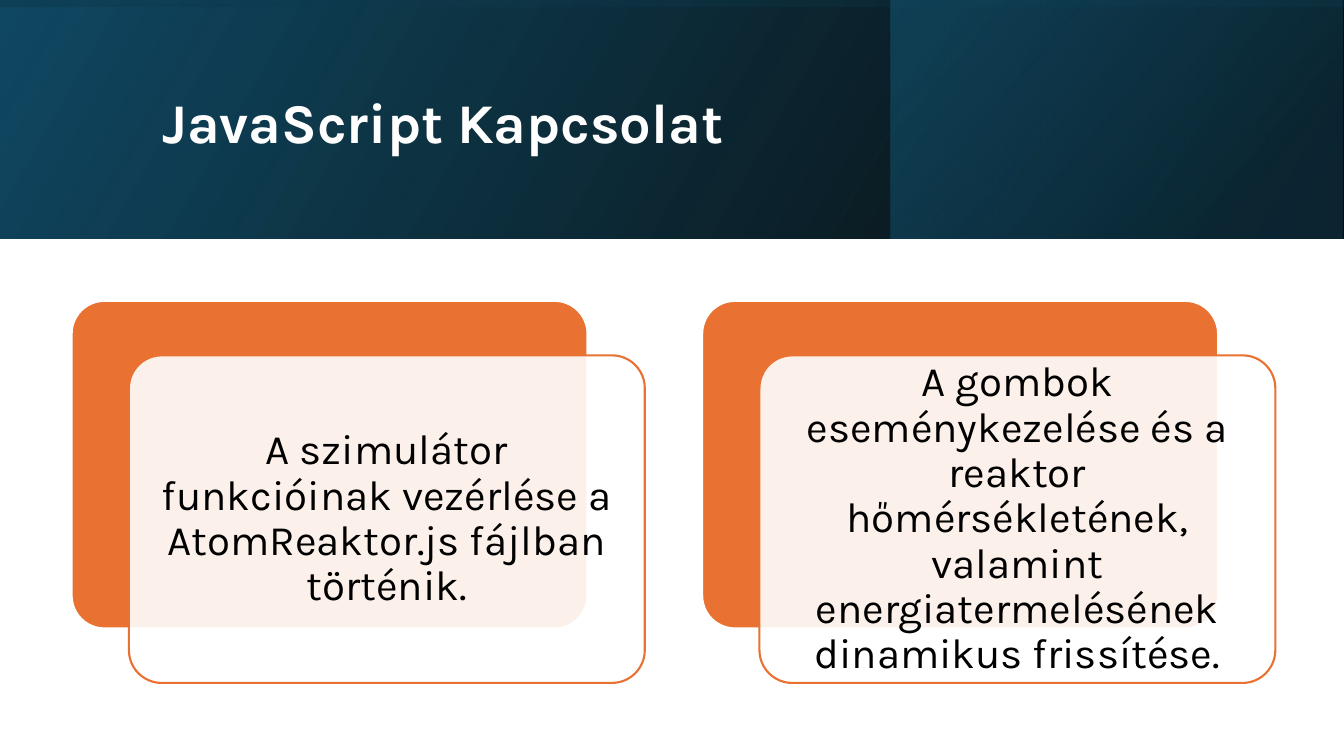
from lxml.etree import SubElement
from pptx import Presentation
from pptx.dml.color import RGBColor
from pptx.enum.shapes import MSO_SHAPE
from pptx.enum.text import MSO_ANCHOR, PP_ALIGN
from pptx.oxml import parse_xml
from pptx.oxml.ns import nsdecls, qn
from pptx.util import Pt

# Content
TITLE = "JavaScript Kapcsolat"
CARDS = [
    "A szimulátor funkcióinak vezérlése a AtomReaktor.js fájlban történik.",
    "A gombok eseménykezelése és a reaktor hőmérsékletének, valamint "
    "energiatermelésének dinamikus frissítése.",
]

# Style
FONT = "Karla"
WHITE = RGBColor(0xFF, 0xFF, 0xFF)
BLACK = RGBColor(0x00, 0x00, 0x00)
ORANGE = RGBColor(0xE9, 0x71, 0x32)
NAVY = RGBColor(0x10, 0x48, 0x62)
DEEP_BLUE = RGBColor(0x0B, 0x30, 0x41)
BLUE = RGBColor(0x15, 0x60, 0x82)

# Layout in points
SLIDE_W, SLIDE_H = 960, 540
BAND_H = 170.64
SIDE_LEFT, SIDE_W = 636.5, 322.5
CARD_W, CARD_H = 368.5, 234
CARD_LEFT, CARD_TOP, CARD_STEP = 51.2, 214.9, 450.4
OFFSET_X, OFFSET_Y = 40.9, 38.9
CARD_INSET = 8.6

# Header layers: left, top, width, height, rotation, angle, (position, colour, opacity)
BAND_LAYERS = [
    (0, 0, SLIDE_W, BAND_H, 0, 330, [(0, BLACK, 96), (100, NAVY, 100)]),
    (SIDE_LEFT, 0, SIDE_W, BAND_H, 0, 320, [(19, DEEP_BLUE, 68), (100, BLUE, 48)]),
    ((SLIDE_W - BAND_H) / 2, (BAND_H - SLIDE_W) / 2, BAND_H, SLIDE_W, 270, 350,
     [(23, NAVY, 16), (99, BLACK, 45)]),
]


def add_block(slide, kind, left, top, width, height):
    block = slide.shapes.add_shape(kind, Pt(left), Pt(top), Pt(width), Pt(height))
    block.shadow.inherit = False
    return block


def set_gradient(block, angle, stops):
    stop_xml = "".join(
        f'<a:gs pos="{position * 1000}"><a:srgbClr val="{colour}">'
        f'<a:alpha val="{opacity * 1000}"/></a:srgbClr></a:gs>'
        for position, colour, opacity in stops)
    gradient = parse_xml(
        f'<a:gradFill {nsdecls("a")} rotWithShape="1"><a:gsLst>{stop_xml}</a:gsLst>'
        f'<a:lin ang="{angle * 60000}" scaled="0"/></a:gradFill>')
    block._element.spPr.find(qn("a:prstGeom")).addnext(gradient)


def write(paragraph, text, size, colour, bold=False):
    paragraph.line_spacing = 0.9
    run = paragraph.add_run()
    run.text = text
    run.font.name = FONT
    run.font.size = Pt(size)
    run.font.bold = bold
    run.font.color.rgb = colour


def add_card_panel(slide, left, top, fill, line):
    panel = add_block(slide, MSO_SHAPE.ROUNDED_RECTANGLE, left, top, CARD_W, CARD_H)
    panel.adjustments[0] = 0.1
    panel.fill.solid()
    panel.fill.fore_color.rgb = fill
    panel.line.color.rgb = line
    panel.line.width = Pt(1.5)
    return panel


def add_card(slide, left, text):
    add_card_panel(slide, left, CARD_TOP, ORANGE, WHITE)
    front = add_card_panel(slide, left + OFFSET_X, CARD_TOP + OFFSET_Y, WHITE, ORANGE)
    front_colour = front._element.spPr.find(qn("a:solidFill"))[0]
    SubElement(front_colour, qn("a:alpha"), val="90000")

    frame = front.text_frame
    frame.word_wrap = True
    frame.vertical_anchor = MSO_ANCHOR.MIDDLE
    frame.margin_left = frame.margin_right = Pt(CARD_INSET)
    frame.margin_top = frame.margin_bottom = Pt(CARD_INSET)
    paragraph = frame.paragraphs[0]
    paragraph.alignment = PP_ALIGN.CENTER
    write(paragraph, text, 30, BLACK)


def main():
    deck = Presentation()
    deck.slide_width, deck.slide_height = Pt(SLIDE_W), Pt(SLIDE_H)
    slide = deck.slides.add_slide(deck.slide_layouts[5])

    # Header band
    for left, top, width, height, rotation, angle, stops in BAND_LAYERS:
        layer = add_block(slide, MSO_SHAPE.RECTANGLE, left, top, width, height)
        layer.rotation = rotation
        layer._element.spPr.find(qn("a:xfrm")).set("flipH", "1")
        layer.line.fill.background()
        set_gradient(layer, angle, stops)

    # Title, brought in front of the band
    title = slide.shapes.title
    title.left, title.top, title.width, title.height = Pt(108.7), Pt(27.4), Pt(765.4), Pt(123.8)
    title.text_frame.vertical_anchor = MSO_ANCHOR.MIDDLE
    title.text_frame.word_wrap = True
    heading = title.text_frame.paragraphs[0]
    heading.alignment = PP_ALIGN.LEFT
    write(heading, TITLE, 40, WHITE, bold=True)
    slide.shapes._spTree.append(title._element)

    # Cards
    for index, text in enumerate(CARDS):
        add_card(slide, CARD_LEFT + index * CARD_STEP, text)

    deck.save("out.pptx")


if __name__ == "__main__":
    main()
